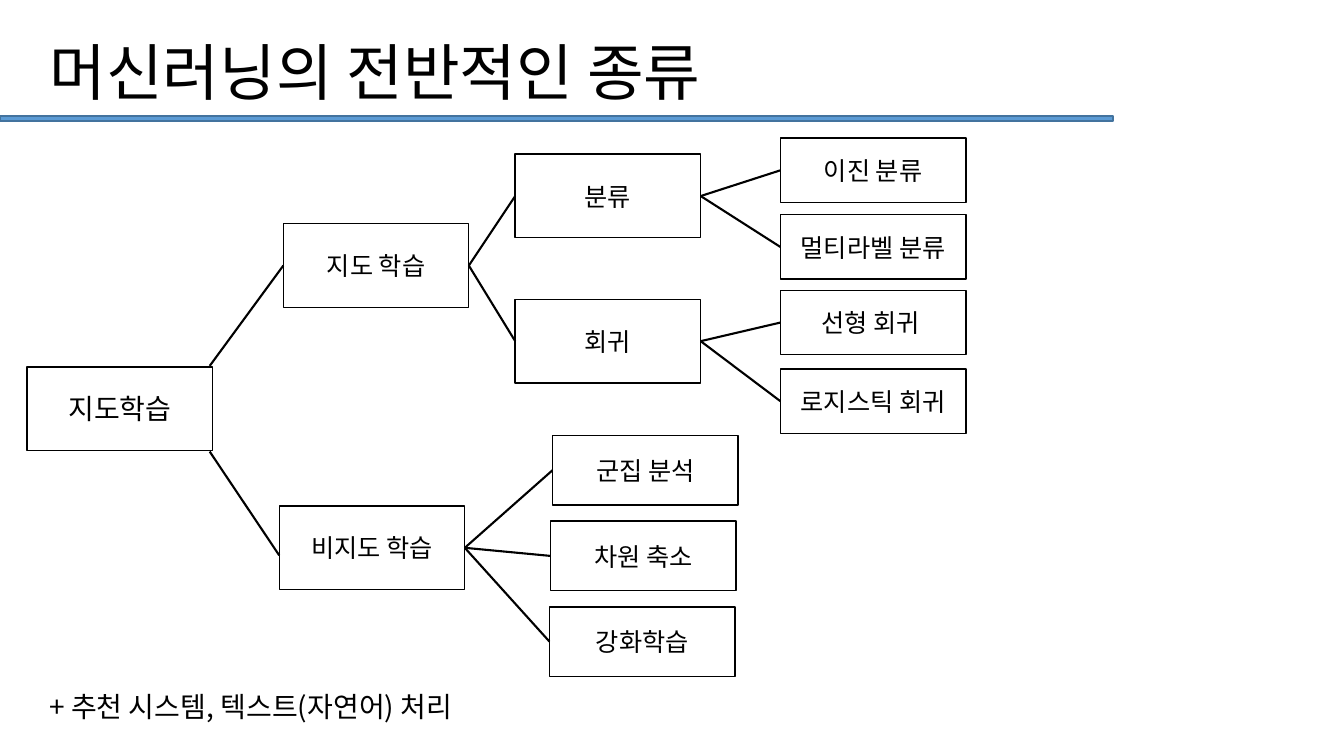
from lxml import etree
from pptx import Presentation
from pptx.dml.color import RGBColor
from pptx.enum.shapes import MSO_CONNECTOR, MSO_SHAPE
from pptx.enum.text import MSO_ANCHOR, MSO_AUTO_SIZE, PP_ALIGN
from pptx.oxml.ns import qn
from pptx.util import Inches, Pt

STRAIGHT = MSO_CONNECTOR.STRAIGHT
RECT = MSO_SHAPE.RECTANGLE
MIDDLE, TOP = MSO_ANCHOR.MIDDLE, MSO_ANCHOR.TOP
LEFT, CENTER = PP_ALIGN.LEFT, PP_ALIGN.CENTER
NO_FIT = MSO_AUTO_SIZE.NONE
LEFT_SIDE, RIGHT_SIDE = 1, 3

FONT = "Noto Sans CJK KR"
COLORS = {"text": "000000", "box": "FFFFFF", "bar": "5B9BD5", "bar_line": "43739E"}
NODE_W = 1.84

ROOT = ("지도학습", 0, 2.27, 0.83, 20)
SUPERVISED = ("지도 학습", 2.54, 0.85, 0.83, 18)
UNSUPERVISED = ("비지도 학습", 2.5, 3.65, 0.83, 18)
CLASSIFICATION = ("분류", 4.84, 0.16, 0.83, 18)
REGRESSION = ("회귀", 4.84, 1.6, 0.83, 18)
BRANCHES = [
    (SUPERVISED, [CLASSIFICATION, REGRESSION]),
    (CLASSIFICATION, [("이진 분류", 7.47, 0, 0.64, 18),
                      ("멀티라벨 분류", 7.47, 0.76, 0.64, 18)]),
    (REGRESSION, [("선형 회귀 ", 7.47, 1.51, 0.64, 18),
                  ("로지스틱 회귀", 7.47, 2.29, 0.64, 18)]),
    (UNSUPERVISED, [("군집 분석", 5.21, 2.95, 0.69, 18),
                    ("차원 축소", 5.19, 3.8, 0.69, 18),
                    ("강화학습", 5.18, 4.65, 0.69, 18)]),
]


def rgb(name):
    """Return the named colour."""
    return RGBColor.from_string(COLORS[name])


def set_text(sp, text, size, align, anchor):
    """Put one formatted paragraph into a shape and return it."""
    tf = sp.text_frame
    tf.text = text
    tf.word_wrap = True
    tf.auto_size = NO_FIT
    tf.vertical_anchor = anchor
    p = tf.paragraphs[0]
    p.alignment = align
    font = p.runs[0].font
    font.name, font.size = FONT, Pt(size)
    font.color.rgb = rgb("text")
    etree.SubElement(p.runs[0]._r.get_or_add_rPr(), qn("a:ea"), typeface=FONT)
    return p


def add_rect(slide, x, y, w, h, fill, line):
    """Add a flat rectangle with a thin outline."""
    sp = slide.shapes.add_shape(RECT, Inches(x), Inches(y), Inches(w), Inches(h))
    sp.shadow.inherit = False
    sp.fill.solid()
    sp.fill.fore_color.rgb = rgb(fill)
    sp.line.color.rgb = rgb(line)
    sp.line.width = Pt(1)
    return sp


def add_line(slide, x1, y1, x2, y2):
    """Add a straight black connector."""
    cx = slide.shapes.add_connector(
        STRAIGHT, Inches(x1), Inches(y1), Inches(x2), Inches(y2))
    cx.line.color.rgb = rgb("text")
    cx.line.width = Pt(1.5)
    etree.SubElement(cx._element.spPr, qn("a:effectLst"))
    return cx


def add_header(slide, x, y, w, h):
    """Format the title and underline it with a bar from the slide's edge."""
    title = slide.shapes.title
    title.left, title.top = Inches(x), Inches(y)
    title.width, title.height = Inches(w), Inches(h)
    p = set_text(title, "머신러닝의 전반적인 종류", 44, LEFT, MIDDLE)
    p.line_spacing = 0.9
    add_rect(slide, 0, y + 1.13, 11.04, 0.05, "bar", "bar_line")


def add_tree(slide, x, y):
    """Draw the tree of learning types from its top left corner."""
    nodes = {}

    def add_node(node):
        text, dx, dy, h, size = node
        sp = add_rect(slide, x + dx, y + dy, NODE_W, h, "box", "text")
        set_text(sp, text, size, CENTER, MIDDLE)
        nodes[node] = sp

    for node in (ROOT, SUPERVISED, UNSUPERVISED):
        add_node(node)
    for parent, children in BRANCHES:
        for child in children:
            add_node(child)
            cx = add_line(slide, 0, 0, 1, 1)
            cx.begin_connect(nodes[parent], RIGHT_SIDE)
            cx.end_connect(nodes[child], LEFT_SIDE)

    root_x = x + 1.81
    cx = add_line(slide, root_x, y + 2.26, x + 2.54, y + 1.27)
    cx.end_connect(nodes[SUPERVISED], LEFT_SIDE)
    add_line(slide, root_x, y + 3.11, x + 2.5, y + 4.14)


def add_footnote(slide, x, y, w, h):
    """Add the line of further topics."""
    sp = slide.shapes.add_textbox(Inches(x), Inches(y), Inches(w), Inches(h))
    p = set_text(sp, "+ 추천 시스템, 텍스트(자연어) 처리", 20, LEFT, TOP)
    p.line_spacing = 0.8
    p.space_before = Pt(10)


def main():
    """Build the slide and save it."""
    prs = Presentation()
    prs.slide_width, prs.slide_height = Inches(13.33), Inches(7.5)
    slide = prs.slides.add_slide(prs.slide_layouts[5])
    add_header(slide, 0.39, 0.02, 11.5, 1.45)
    add_tree(slide, 0.27, 1.37)
    add_footnote(slide, 0.39, 6.86, 11.5, 0.4)
    prs.save("out.pptx")


if __name__ == "__main__":
    main()
